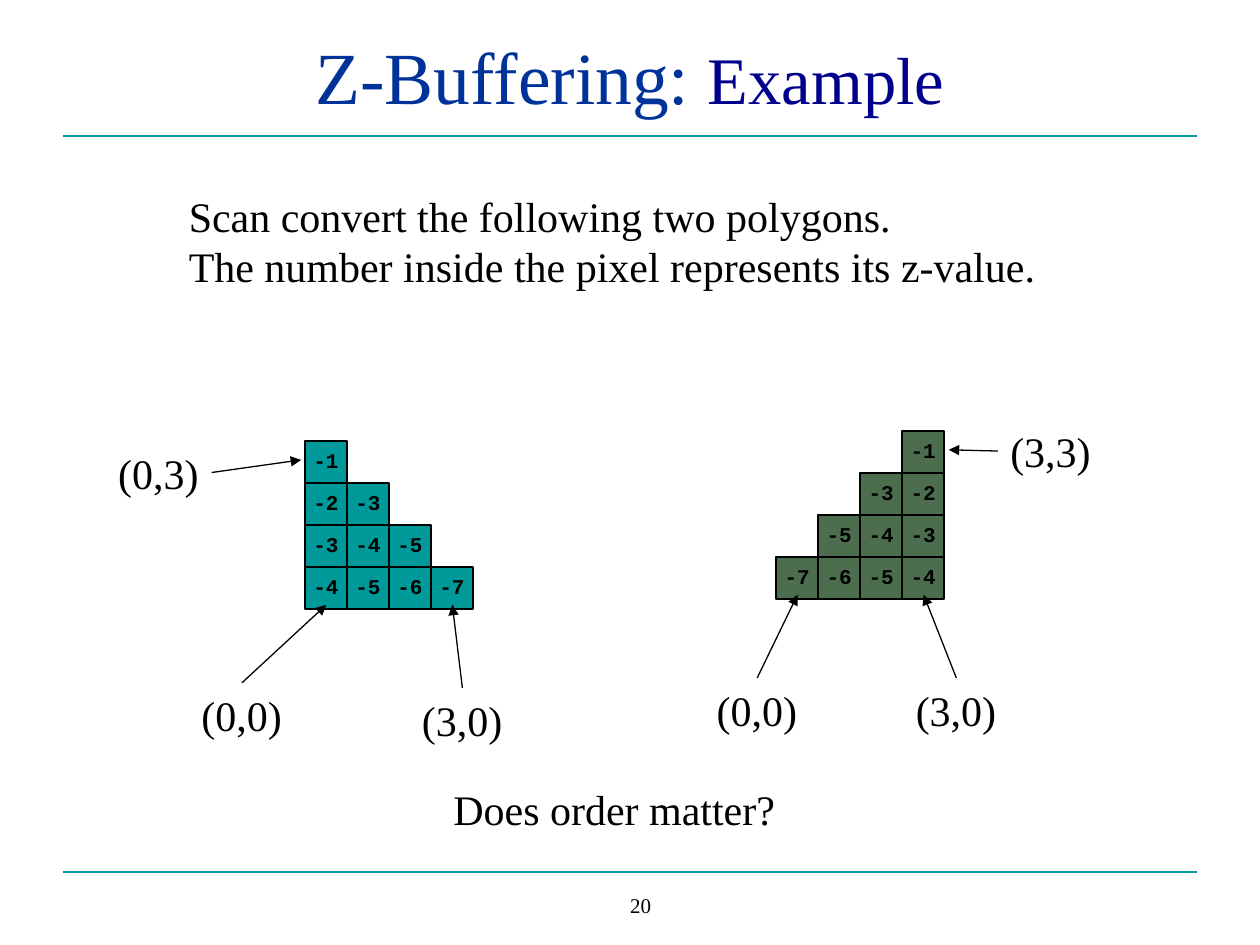
from pptx import Presentation
from pptx.dml.color import RGBColor
from pptx.enum.shapes import MSO_CONNECTOR, MSO_SHAPE
from pptx.enum.text import MSO_ANCHOR, MSO_AUTO_SIZE, PP_ALIGN
from pptx.oxml.ns import qn
from pptx.util import Inches, Pt
from lxml.etree import SubElement

COLORS = {
    "teal": "009999",
    "green": "4C6D4E",
    "black": "000000",
    "title": "003399",
    "subtitle": "00008C",
}
SERIF = "Times New Roman"
MONO = "Courier New"
CELL = 1 / 3
ROWS = 4


def add_run(paragraph, text, size, color="black", font=SERIF, bold=False):
    run = paragraph.add_run()
    run.text = text
    run.font.size = Pt(size)
    run.font.name = font
    run.font.bold = bold
    run.font.color.rgb = RGBColor.from_string(COLORS[color])


def add_line(start, end, color, width):
    line = slide.shapes.add_connector(
        MSO_CONNECTOR.STRAIGHT, *[Inches(v) for v in (*start, *end)])
    line.line.color.rgb = RGBColor.from_string(COLORS[color])
    line.line.width = Pt(width)
    SubElement(line._element.spPr, qn("a:effectLst"))
    return line


prs = Presentation()
prs.slide_width, prs.slide_height = Inches(10), Inches(7.5)
slide = prs.slides.add_slide(prs.slide_layouts[5])

# Rules above and below the content
for y in (6.92, 1.08):
    add_line((0.5, y), (9.5, y), "teal", 1)

# Title
title = slide.shapes.title
title.left, title.top = Inches(0.5), Inches(0.3)
title.width, title.height = Inches(9), Inches(0.7)
title.text_frame.auto_size = MSO_AUTO_SIZE.NONE
title.text_frame.vertical_anchor = MSO_ANCHOR.BOTTOM
heading = title.text_frame.paragraphs[0]
heading.alignment = PP_ALIGN.CENTER
add_run(heading, "Z-Buffering: ", 42, "title")
add_run(heading, "Example", 38, "subtitle")

# Page number
page = slide.shapes.add_textbox(Inches(3.92), Inches(7), Inches(2.33), Inches(0.33))
page.text_frame.word_wrap = True
page.text_frame.vertical_anchor = MSO_ANCHOR.BOTTOM
page.text_frame.paragraphs[0].alignment = PP_ALIGN.CENTER
add_run(page.text_frame.paragraphs[0], "20", 12)

# Polygons as staircases of pixels; z falls by one per row and per step
# away from the upright side
for left, top, color, mirrored in ((2.42, 3.5, "teal", False),
                                   (6.16, 3.42, "green", True)):
    for row in range(ROWS):
        for step in range(row + 1):
            column = ROWS - 1 - step if mirrored else step
            pixel = slide.shapes.add_shape(
                MSO_SHAPE.RECTANGLE,
                Inches(left + column * CELL), Inches(top + row * CELL),
                Inches(CELL), Inches(CELL))
            pixel.shadow.inherit = False
            pixel.fill.solid()
            pixel.fill.fore_color.rgb = RGBColor.from_string(COLORS[color])
            pixel.line.color.rgb = RGBColor.from_string(COLORS["black"])
            pixel.line.width = Pt(1)
            frame = pixel.text_frame
            frame.word_wrap = False
            frame.vertical_anchor = MSO_ANCHOR.TOP
            frame.margin_left = frame.margin_right = 0
            frame.paragraphs[0].alignment = PP_ALIGN.CENTER
            add_run(frame.paragraphs[0], f"-{row + step + 1}", 12,
                    font=MONO, bold=True)

# Text: position, size, lines, then the arrow's side of the box and its tip;
# the sentences have some spare width so that each stays on one line
texts = [
    (1.4, 1.46, 7.1, 0.9, ["Scan convert the following two polygons.",
                           "The number inside the pixel represents its z-value."], None, None),
    (1.5, 5.42, 0.84, 0.5, ["(0,0)"], 0, (2.59, 4.8)),
    (3.25, 5.46, 0.84, 0.5, ["(3,0)"], 0, (3.59, 4.8)),
    (0.84, 3.5, 0.84, 0.5, ["(0,3)"], 3, (2.39, 3.65)),
    (5.59, 5.38, 0.84, 0.5, ["(0,0)"], 0, (6.33, 4.72)),
    (7.17, 5.38, 0.84, 0.5, ["(3,0)"], 0, (7.33, 4.72)),
    (7.92, 3.33, 0.84, 0.5, ["(3,3)"], 1, (7.53, 3.57)),
    (3.5, 6.17, 2.9, 0.5, ["Does order matter?"], None, None),
]
for left, top, width, height, lines, side, tip in texts:
    label = slide.shapes.add_textbox(
        Inches(left), Inches(top), Inches(width), Inches(height))
    frame = label.text_frame
    frame.word_wrap = tip is None
    frame.auto_size = MSO_AUTO_SIZE.SHAPE_TO_FIT_TEXT
    for number, line in enumerate(lines):
        paragraph = frame.add_paragraph() if number else frame.paragraphs[0]
        add_run(paragraph, line, 24)
    if tip:
        arrow = add_line((left, top), tip, "black", 0.75)
        arrow.begin_connect(label, side)
        SubElement(arrow.line._get_or_add_ln(), qn("a:tailEnd"), type="triangle")

prs.save("out.pptx")
